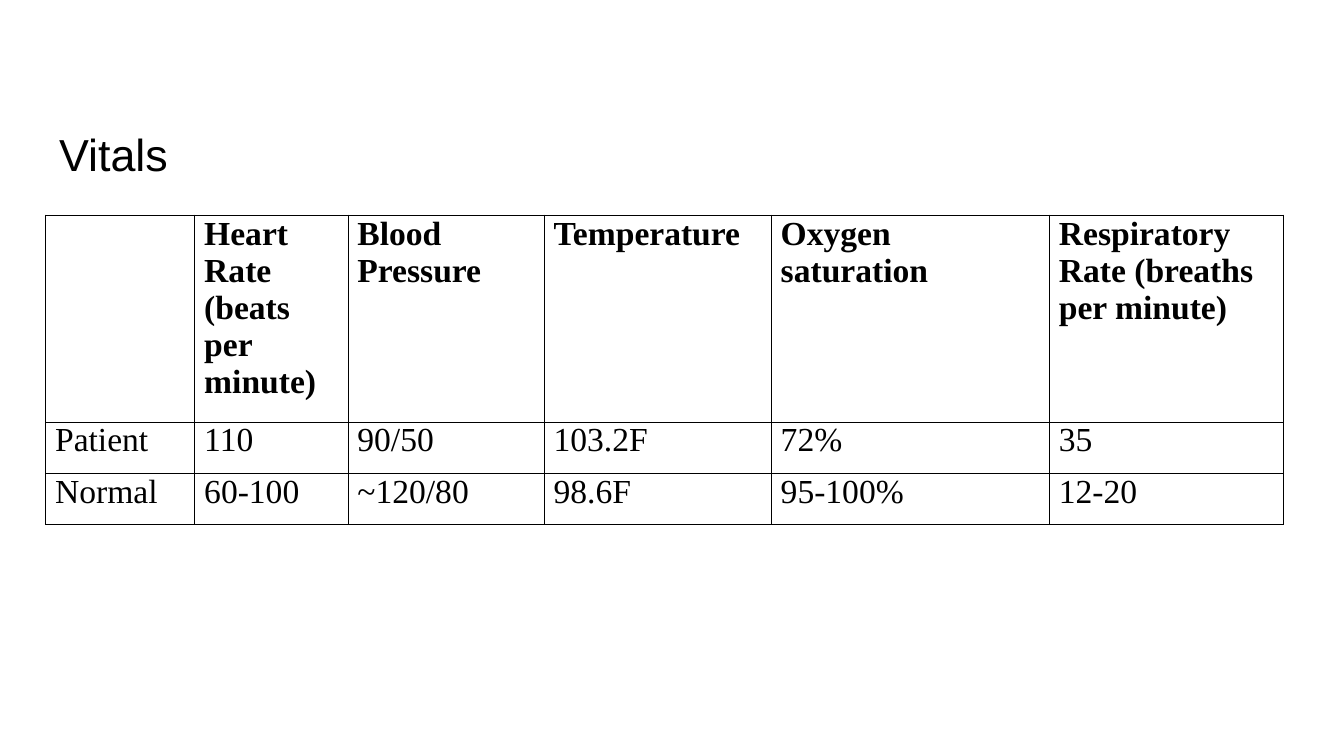
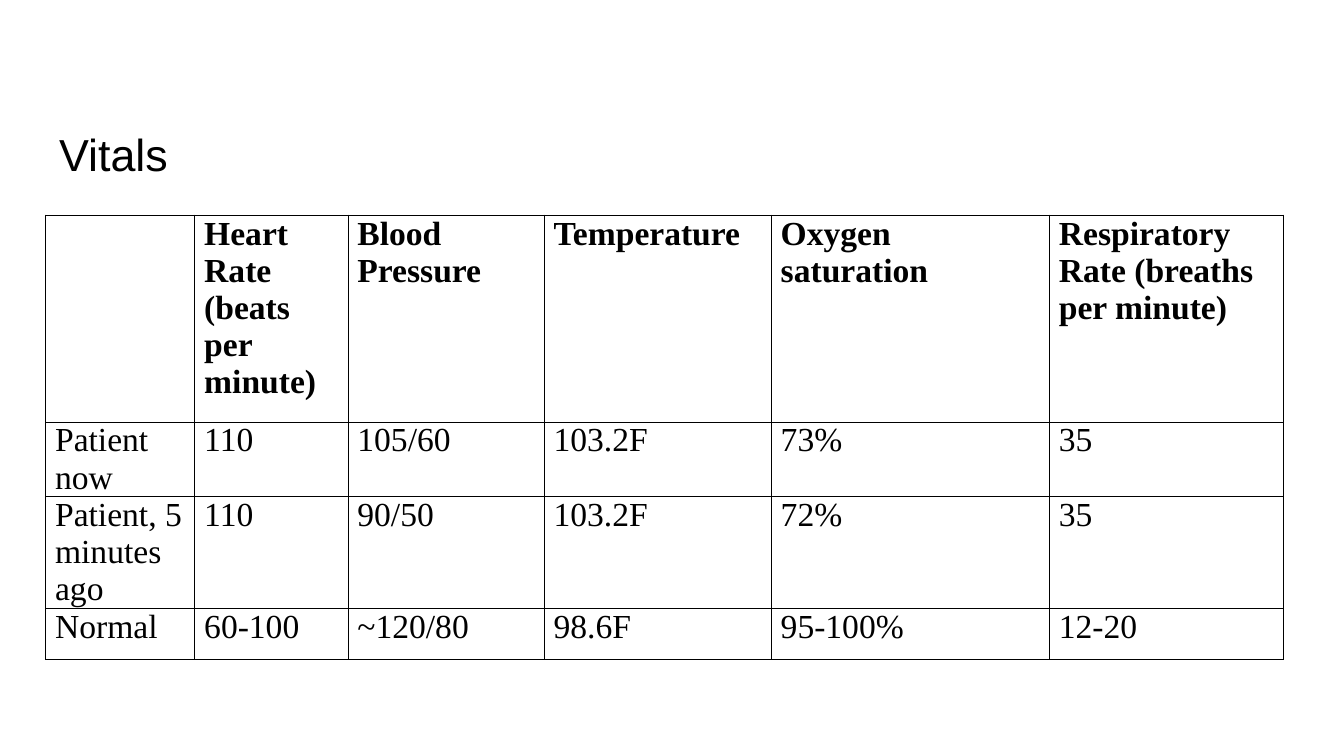
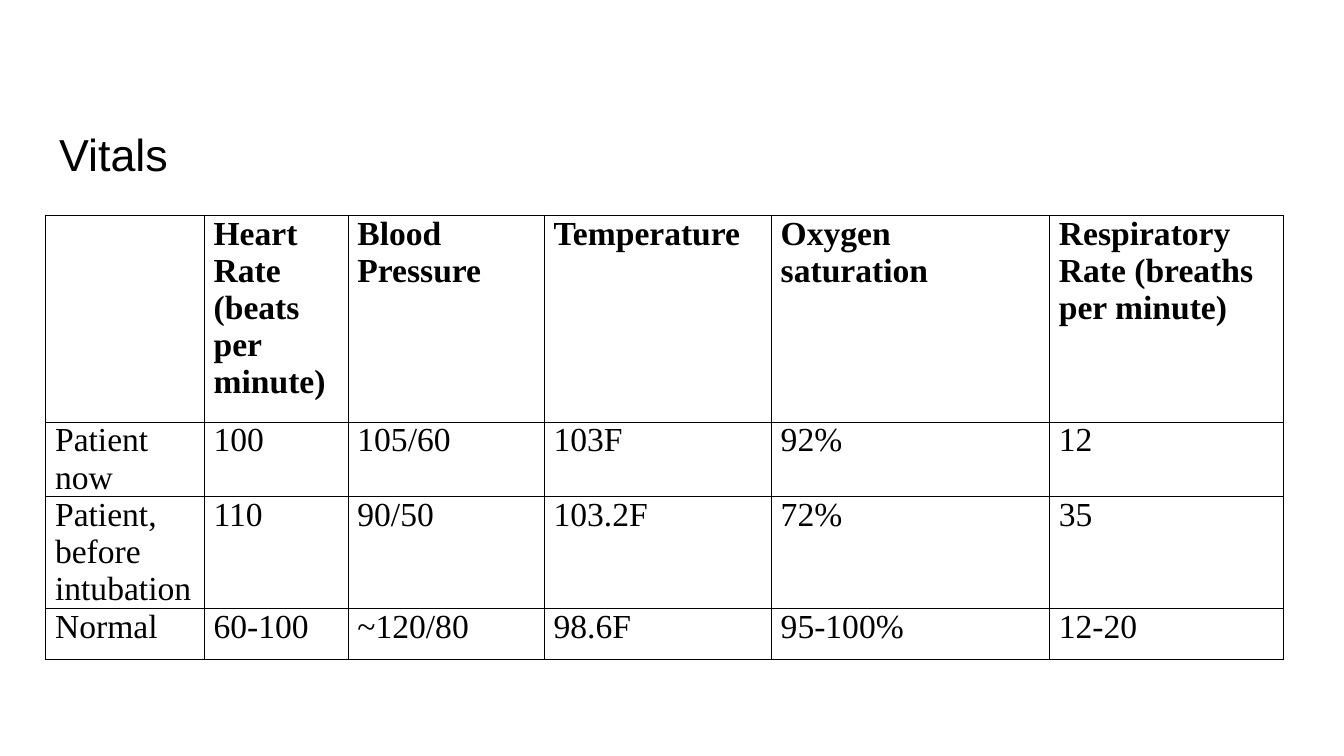
from lxml import etree
from pptx import Presentation
from pptx import util as u
from pptx.dml.color import RGBColor
from pptx.enum import text
from pptx.oxml.ns import qn

COLOURS = {"ink": "000000", "rule": "000000"}
TITLE_FONT, TABLE_FONT = "Arial", "Times New Roman"

MARGIN = 0.34
TITLE_TOP, TITLE_WIDTH, TITLE_HEIGHT = 0.61, 3.07, 0.83
TABLE_TOP = 1.6
HEADER_HEIGHT, READING_HEIGHT = 1.54, 0.38
LABEL_AND_HEART_RATE = 2.25  # these two columns share a fixed width
OTHER_COLUMNS = [1.46, 1.69, 2.07, 1.74]

HEADINGS = ["", "Heart Rate (beats per minute)", "Blood Pressure", "Temperature",
            "Oxygen saturation", "Respiratory Rate (breaths per minute)"]
ON_ARRIVAL = ["110", "90/50", "103.2F", "72%", "35"]
NORMAL = ["Normal", "60-100", "~120/80", "98.6F", "95-100%", "12-20"]

# Each slide: width of the label column, then the patient's readings
VITALS = [
    (1.11, [["Patient", *ON_ARRIVAL]]),
    (1.11, [["Patient now", "110", "105/60", "103.2F", "73%", "35"],
            ["Patient, 5 minutes ago", *ON_ARRIVAL]]),
    (1.18, [["Patient now", "100", "105/60", "103F", "92%", "12"],
            ["Patient, before intubation", *ON_ARRIVAL]]),
]


def add_run(paragraph, words, font_name, size, bold=False):
    run = paragraph.add_run()
    run.text = words
    run.font.name = font_name
    run.font.size = u.Pt(size)
    run.font.bold = bold
    run.font.color.rgb = RGBColor.from_string(COLOURS["ink"])


def set_title(slide, words):
    title = slide.shapes.title
    title.left, title.top = u.Inches(MARGIN), u.Inches(TITLE_TOP)
    title.width, title.height = u.Inches(TITLE_WIDTH), u.Inches(TITLE_HEIGHT)
    frame = title.text_frame
    frame.word_wrap = True
    frame.auto_size = text.MSO_AUTO_SIZE.NONE
    frame.vertical_anchor = text.MSO_ANCHOR.BOTTOM
    frame.margin_left = frame.margin_right = u.Inches(0.1)
    frame.margin_top = frame.margin_bottom = u.Inches(0.1)
    heading = frame.paragraphs[0]
    heading.alignment = text.PP_ALIGN.LEFT
    add_run(heading, words, TITLE_FONT, 24)


def rule_cell(cell, width=0.5):
    """Draw a thin line on all four sides of a cell."""
    properties = cell._tc.get_or_add_tcPr()
    for position, side in enumerate(("lnL", "lnR", "lnT", "lnB")):
        line = etree.Element(qn(f"a:{side}"), w=str(u.Pt(width)))
        fill = etree.SubElement(line, qn("a:solidFill"))
        etree.SubElement(fill, qn("a:srgbClr"), val=COLOURS["rule"])
        properties.insert(position, line)


def fill_cell(cell, words, bold):
    cell.fill.background()
    cell.margin_left = cell.margin_right = u.Inches(0.07)
    cell.margin_top = cell.margin_bottom = 0
    rule_cell(cell)
    if words:
        add_run(cell.text_frame.paragraphs[0], words, TABLE_FONT, 18, bold)


def add_vitals_table(slide, label_width, readings):
    rows = [HEADINGS, *readings, NORMAL]
    widths = [label_width, LABEL_AND_HEART_RATE - label_width, *OTHER_COLUMNS]
    heights = [HEADER_HEIGHT] + [READING_HEIGHT] * (len(rows) - 1)
    table = slide.shapes.add_table(
        len(rows), len(widths), u.Inches(MARGIN), u.Inches(TABLE_TOP),
        u.Inches(sum(widths)), u.Inches(sum(heights))).table
    table.first_row = table.horz_banding = False
    for column, width in zip(table.columns, widths):
        column.width = u.Inches(width)
    for r, (row, height) in enumerate(zip(rows, heights)):
        table.rows[r].height = u.Inches(height)
        for c, words in enumerate(row):
            fill_cell(table.cell(r, c), words, bold=r == 0)


def main():
    deck = Presentation()
    deck.slide_width = u.Inches(10)
    deck.slide_height = deck.slide_width * 9 // 16
    title_only = deck.slide_layouts[5]
    for label_width, readings in VITALS:
        slide = deck.slides.add_slide(title_only)
        set_title(slide, "Vitals")
        add_vitals_table(slide, label_width, readings)
    deck.save("out.pptx")


if __name__ == "__main__":
    main()
